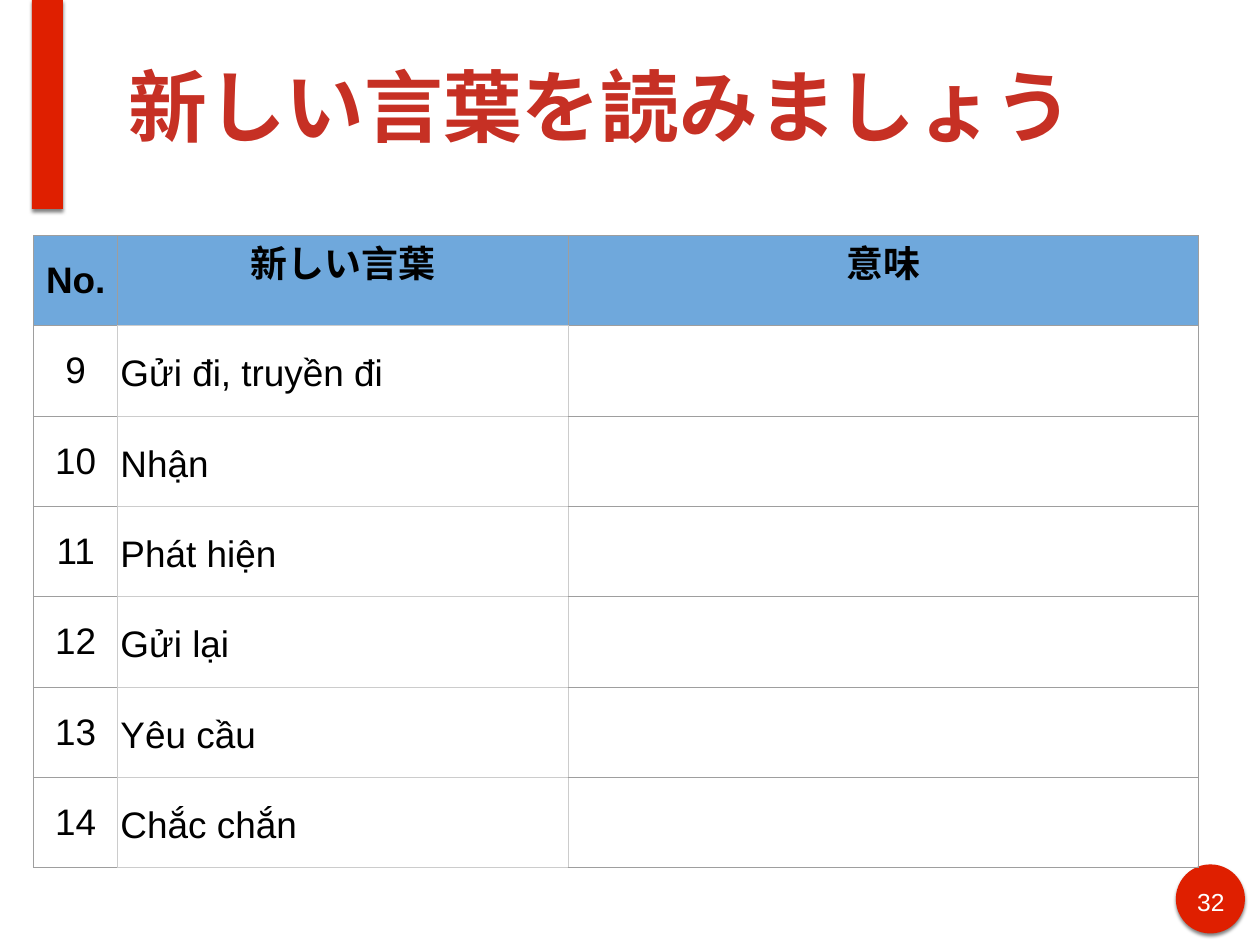
import pptx
import pptx.dml.color
import pptx.enum.shapes
import pptx.enum.text
import pptx.oxml
import pptx.oxml.ns
import pptx.util
from pptx.dml.color import RGBColor
from pptx.util import Inches

RED = RGBColor(0xDF, 0x1F, 0x00)
TITLE_RED = RGBColor(0xC6, 0x30, 0x24)
HEADER_BLUE = RGBColor(0x6F, 0xA8, 0xDC)
BLACK = RGBColor(0, 0, 0)
WHITE = RGBColor(0xFF, 0xFF, 0xFF)
DARK_GREY = RGBColor(0x9E, 0x9E, 0x9E)
LIGHT_GREY = RGBColor(0xCC, 0xCC, 0xCC)

SHAPE = pptx.enum.shapes.MSO_SHAPE
ALIGN = pptx.enum.text.PP_ALIGN
ANCHOR = pptx.enum.text.MSO_ANCHOR
NAMESPACE = pptx.oxml.ns.nsdecls("a")

HEADERS = ["No.", "新しい言葉", "意味"]
WORDS = ["Gửi đi, truyền đi", "Nhận", "Phát hiện", "Gửi lại", "Yêu cầu", "Chắc chắn"]
FIRST_NUMBER = 9
COLUMN_WIDTHS = [0.95, 5.08, 7.12]
ROW_HEIGHT = 1.02


class VocabularySlide:
    font_name = "Arial"
    table_size = 30

    def __init__(self, presentation):
        self.slide = presentation.slides.add_slide(presentation.slide_layouts[6])

    def set_text(self, text_frame, text, size, color, bold=False, align=ALIGN.LEFT):
        text_frame.text = text
        paragraph = text_frame.paragraphs[0]
        paragraph.alignment = align
        for run in paragraph.runs:
            run.font.name = self.font_name
            run.font.size = pptx.util.Pt(size)
            run.font.bold = bold
            run.font.color.rgb = color
            run.font._element.append(pptx.oxml.parse_xml(
                f'<a:ea {NAMESPACE} typeface="{self.font_name}"/>'))
        return paragraph

    def add_accent(self, kind, left, top, width, height):
        """Add a red shape with a soft shadow below it."""
        shape = self.slide.shapes.add_shape(
            kind, Inches(left), Inches(top), Inches(width), Inches(height))
        shape.fill.solid()
        shape.fill.fore_color.rgb = RED
        shape.line.fill.background()
        shape.shadow.inherit = False
        effects = shape._element.spPr.find(pptx.oxml.ns.qn("a:effectLst"))
        effects.append(pptx.oxml.parse_xml(
            f'<a:outerShdw {NAMESPACE} blurRad="38100" dist="25400" dir="5400000" '
            'rotWithShape="0"><a:srgbClr val="000000"><a:alpha val="49000"/>'
            '</a:srgbClr></a:outerShdw>'))

    def add_text(self, left, top, width, height, text, size, color, **style):
        box = self.slide.shapes.add_textbox(
            Inches(left), Inches(top), Inches(width), Inches(height))
        frame = box.text_frame
        frame.word_wrap = True
        frame.vertical_anchor = ANCHOR.MIDDLE
        frame.margin_left = frame.margin_right = Inches(0.06)
        frame.margin_top = frame.margin_bottom = Inches(0.06)
        self.set_text(frame, text, size, color, **style)

    def set_borders(self, cell, left=DARK_GREY, right=DARK_GREY,
                    top=DARK_GREY, bottom=DARK_GREY):
        properties = cell._tc.get_or_add_tcPr()
        sides = [("L", left), ("R", right), ("T", top), ("B", bottom)]
        for position, (side, color) in enumerate(sides):
            properties.insert(position, pptx.oxml.parse_xml(
                f'<a:ln{side} {NAMESPACE} w="9525"><a:solidFill>'
                f'<a:srgbClr val="{color}"/></a:solidFill></a:ln{side}>'))

    def fill_cell(self, cell, text, side_margin=0.1, anchor=ANCHOR.MIDDLE, **style):
        cell.margin_left = cell.margin_right = Inches(side_margin)
        cell.margin_top = cell.margin_bottom = Inches(0.1)
        cell.vertical_anchor = anchor
        return self.set_text(cell.text_frame, text, self.table_size, BLACK, **style)

    def add_word_table(self, left, top):
        row_count = len(WORDS) + 1
        table = self.slide.shapes.add_table(
            row_count, len(HEADERS), Inches(left), Inches(top),
            Inches(sum(COLUMN_WIDTHS)), Inches(row_count * ROW_HEIGHT)).table
        table.first_row = table.horz_banding = False
        for column, width in zip(table.columns, COLUMN_WIDTHS):
            column.width = Inches(width)
        for row in table.rows:
            row.height = Inches(ROW_HEIGHT)

        for column, header in enumerate(HEADERS):
            cell = table.cell(0, column)
            cell.fill.solid()
            cell.fill.fore_color.rgb = HEADER_BLUE
            self.fill_cell(cell, header, bold=True, align=ALIGN.CENTER,
                           anchor=ANCHOR.TOP if column else ANCHOR.MIDDLE)
            self.set_borders(cell, bottom=LIGHT_GREY if column == 1 else DARK_GREY)

        for row, word in enumerate(WORDS, 1):
            number_cell, word_cell, meaning_cell = table.rows[row].cells
            for cell in (number_cell, word_cell, meaning_cell):
                cell.fill.background()
            self.fill_cell(number_cell, str(FIRST_NUMBER + row - 1), align=ALIGN.CENTER)
            self.fill_cell(word_cell, word, side_margin=0.03).line_spacing = 1.15
            self.set_borders(number_cell, right=LIGHT_GREY)
            self.set_borders(word_cell, *[LIGHT_GREY] * 4)
            self.set_borders(meaning_cell, left=LIGHT_GREY)


def main():
    presentation = pptx.Presentation()
    presentation.slide_width = Inches(14.22)
    presentation.slide_height = Inches(10.67)

    page = VocabularySlide(presentation)
    page.add_accent(SHAPE.OVAL, 13.27, 9.76, 0.78, 0.78)
    page.add_accent(SHAPE.RECTANGLE, 0.36, 0, 0.35, 2.36)
    page.add_text(13.42, 9.95, 0.49, 0.45, "32", 20, WHITE, align=ALIGN.CENTER)
    page.add_text(1.39, 0.12, 12.14, 2.12, "新しい言葉を読みましょう", 64, TITLE_RED, bold=True)
    page.add_word_table(0.38, 2.66)
    presentation.save("out.pptx")


if __name__ == "__main__":
    main()
